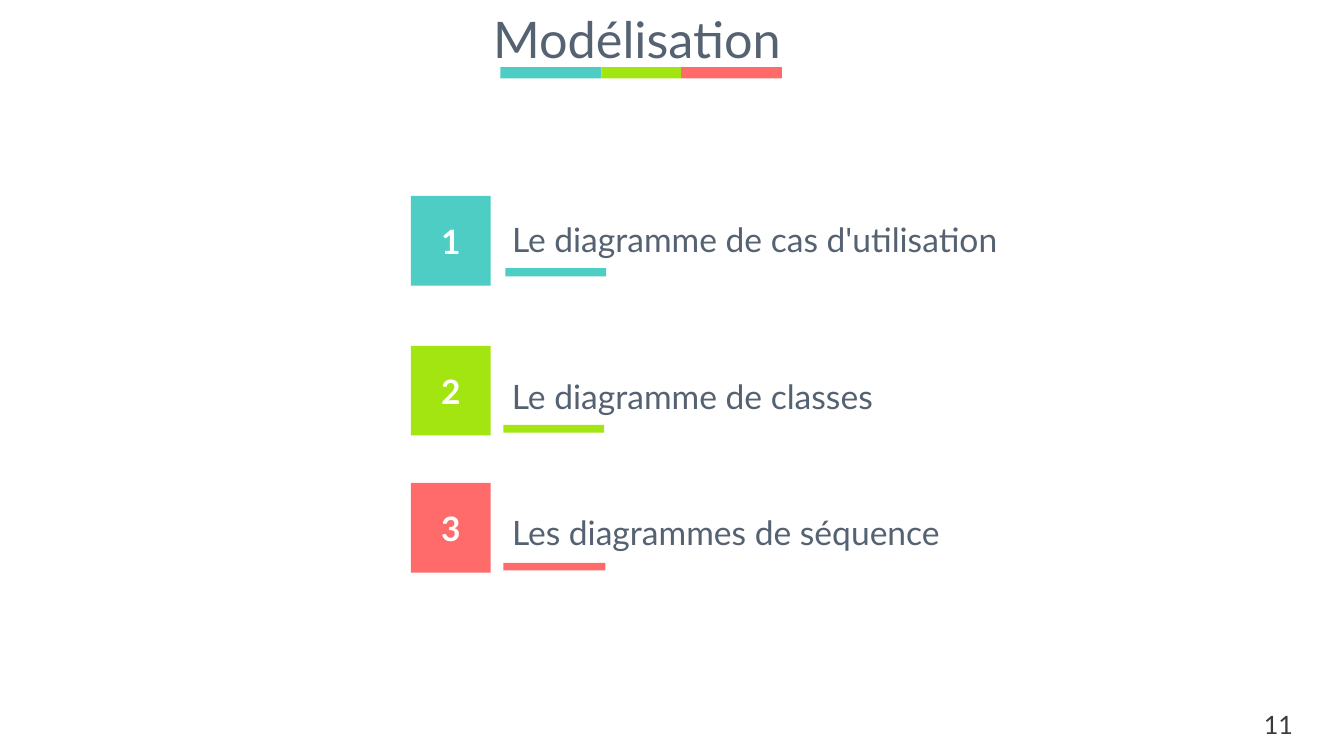
import pptx
import pptx.dml.color
import pptx.enum.shapes
import pptx.enum.text
import pptx.util

PX = 9525  # EMU per px: the slide is 1920 px wide
COLORS = {
    "teal": "4ECDC4",
    "lime": "A3E511",
    "coral": "FF6B6B",
    "slate": "556272",
    "ink": "3B3B3B",
    "white": "FFFFFF",
}
ALIGN = pptx.enum.text.PP_ALIGN
ANCHOR = pptx.enum.text.MSO_ANCHOR


def rgb(color):
    return pptx.dml.color.RGBColor.from_string(COLORS[color])


def write(frame, text, font="Lato", size=36, color="slate", bold=False,
          align=ALIGN.LEFT, anchor=ANCHOR.TOP, line=None, before=None):
    frame.word_wrap = True
    frame.auto_size = pptx.enum.text.MSO_AUTO_SIZE.NONE
    frame.vertical_anchor = anchor
    paragraph = frame.paragraphs[0]
    paragraph.alignment = align
    if line is not None:
        paragraph.line_spacing = line
    if before is not None:
        paragraph.space_before = pptx.util.Pt(before)
    run = paragraph.add_run()
    run.text = text
    run.font.name = font
    run.font.size = pptx.util.Pt(size)
    run.font.bold = bold
    run.font.color.rgb = rgb(color)


class Deck:
    def __init__(self, width, height):
        self.file = pptx.Presentation()
        self.file.slide_width = width * PX
        self.file.slide_height = height * PX
        self.slide = None

    def add_slide(self):
        self.slide = self.file.slides.add_slide(self.file.slide_layouts[5])

    def title(self, text, x, y, w, h):
        heading = self.slide.shapes.title
        heading.left, heading.top = x * PX, y * PX
        heading.width, heading.height = w * PX, h * PX
        write(heading.text_frame, text, size=54, align=ALIGN.CENTER,
              anchor=ANCHOR.MIDDLE, line=0.9)

    def label(self, text, x, y, w, h, **style):
        box = self.slide.shapes.add_textbox(x * PX, y * PX, w * PX, h * PX)
        write(box.text_frame, text, **style)

    def block(self, color, x, y, w, h, text=None):
        rect = self.slide.shapes.add_shape(
            pptx.enum.shapes.MSO_SHAPE.RECTANGLE, x * PX, y * PX, w * PX, h * PX)
        rect.shadow.inherit = False
        rect.fill.solid()
        rect.fill.fore_color.rgb = rgb(color)
        rect.line.fill.background()
        if text:
            write(rect.text_frame, text, color="white", bold=True,
                  align=ALIGN.CENTER, anchor=ANCHOR.MIDDLE)


def main():
    deck = Deck(1920, 1080)
    deck.add_slide()

    # Page number
    deck.label("11", 1796, 1008, 124, 51, size=27, color="ink")

    # Title with its three-colour rule
    deck.title("Modélisation", 0, -7, 1820, 134)
    x = 715
    for color, width in (("teal", 144), ("lime", 114), ("coral", 144)):
        deck.block(color, x, 96, width, 16)
        x += width

    # Numbered topics: colour, text, tile top, text top and width, underline box
    topics = (
        ("teal", "Le diagramme de cas d'utilisation", 280, 291, 845, (722, 383, 144, 12)),
        ("lime", "Le diagramme de classes", 494, 515, 563, (719, 607, 144, 11)),
        ("coral", "Les diagrammes de séquence", 690, 710, 797, (719, 804, 146, 11)),
    )
    for number, (color, topic, tile_y, topic_y, width, underline) in enumerate(topics, 1):
        deck.block(color, 587, tile_y, 114, 128, text=str(number))
        deck.label(topic, 722, topic_y, width, 79, line=1.3, before=12)
        deck.block(color, *underline)

    deck.file.save("out.pptx")


if __name__ == "__main__":
    main()
